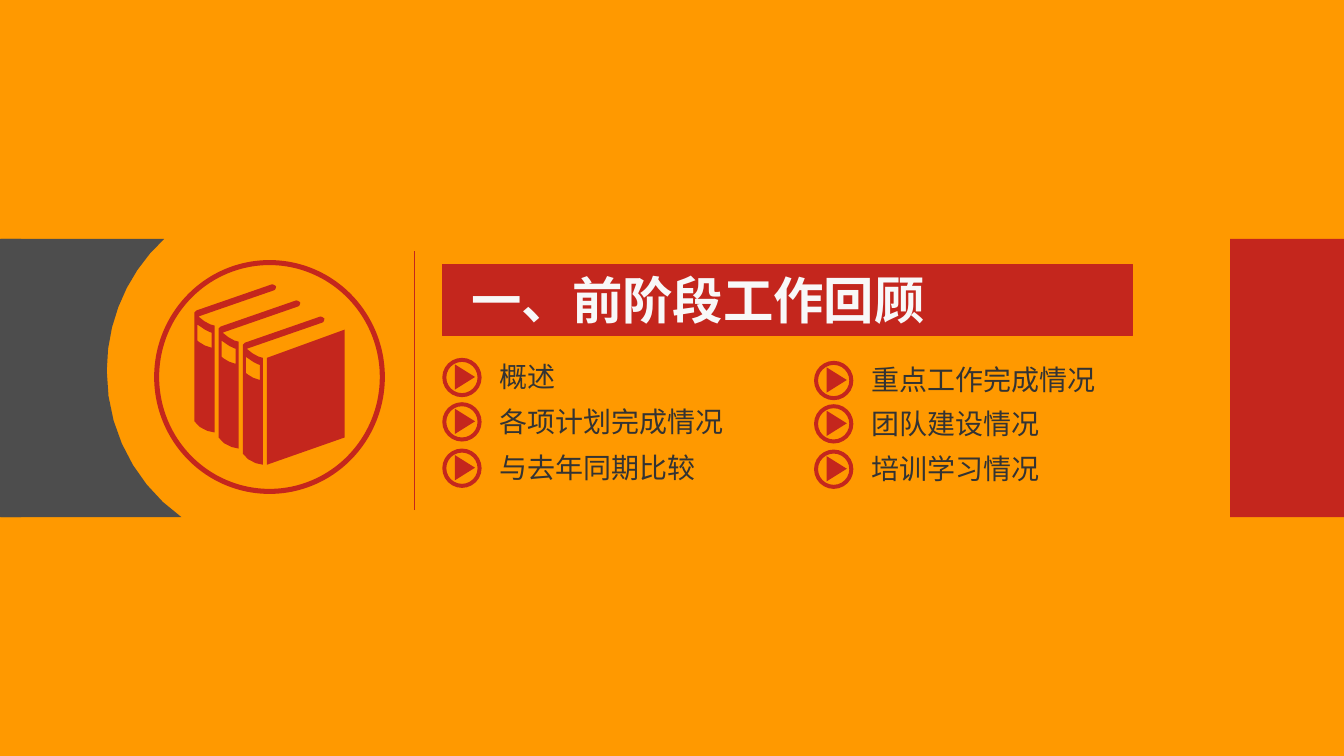
from lxml import etree
from pptx import Presentation
from pptx import util as u
from pptx.dml.color import RGBColor
from pptx.enum import shapes as s, text as t
from pptx.oxml import ns

ORANGE, RED, GRAY = "FF9900", "C4261D", "4D4D4D"
WHITE, INK = "F8F8F8", "333333"

TITLE = "一、前阶段工作回顾"
# left edge of each column, then the top and wording of each topic
TOPIC_COLUMNS = [
    (4.39, [(3.55, "概述"), (3.99, "各项计划完成情况"), (4.45, "与去年同期比较")]),
    (8.08, [(3.58, "重点工作完成情况"), (4.01, "团队建设情况"), (4.46, "培训学习情况")]),
]
BAND_TOP, BAND_HEIGHT = 2.37, 2.76

# Outlines: a pair is a corner, six numbers are a Bézier curve.
BAND_END = [(0.01, 2.37), (1.63, 2.37), (1.28, 2.69, 1.06, 3.16, 1.06, 3.68),
            (1.06, 4.28, 1.35, 4.81, 1.8, 5.13), (0.01, 5.13)]
SPINE = [(2.74, 2.84), (2.73, 2.83, 2.71, 2.82, 2.7, 2.82), (1.95, 3.08),
         (1.93, 3.1), (1.93, 4.18),
         (1.96, 4.24, 2.07, 4.29, 2.13, 4.29), (2.13, 3.23),
         (2.1, 3.23, 2.02, 3.19, 1.97, 3.14), (2.72, 2.88),
         (2.73, 2.88, 2.74, 2.86, 2.74, 2.84)]
SPINE_LABEL = [(2.1, 3.3), (2.1, 3.45), (2.03, 3.44, 1.96, 3.38, 1.96, 3.38),
               (1.96, 3.22), (2.05, 3.29, 2.1, 3.3, 2.1, 3.3)]
FRONT_COVER = [(2.65, 3.55), (2.65, 4.61), (3.42, 4.34), (3.42, 3.27)]
BOOK_COUNT, BOOK_STEP_X, BOOK_STEP_Y = 3, 0.24, 0.16
BAND_CURVE_STEPS, BOOK_CURVE_STEPS = 7, 3

prs = Presentation()
prs.slide_width, prs.slide_height = u.Inches(13.34), u.Inches(7.5)
slide = prs.slides.add_slide(prs.slide_layouts[6])


def color(hex_value):
    return RGBColor.from_string(hex_value)


def paint(shape, fill):
    shape.shadow.inherit = False
    shape.fill.solid()
    shape.fill.fore_color.rgb = color(fill)
    shape.line.fill.background()
    return shape


def add_preset(kind, left, top, width, height, fill):
    box = [u.Inches(v) for v in (left, top, width, height)]
    return paint(slide.shapes.add_shape(kind, *box), fill)


def add_ring(left, top, width, height, thickness):
    ring = add_preset(s.MSO_SHAPE.DONUT, left, top, width, height, RED)
    ring.adjustments[0] = thickness / min(width, height)


def flatten(outline, curve_steps, dx=0, dy=0):
    """Turn corners and curves into shifted points in EMU."""
    points = []
    for step in outline:
        if len(step) == 2:
            points.append(step)
            continue
        x0, y0 = points[-1]
        x1, y1, x2, y2, x3, y3 = step
        for i in range(1, curve_steps + 1):
            k = i / curve_steps
            a, b, c, d = (1 - k) ** 3, 3 * k * (1 - k) ** 2, 3 * k * k * (1 - k), k ** 3
            points.append((a * x0 + b * x1 + c * x2 + d * x3,
                           a * y0 + b * y1 + c * y2 + d * y3))
    return [(u.Inches(x + dx), u.Inches(y + dy)) for x, y in points]


def add_outline(contours, fill):
    first, *others = contours
    builder = slide.shapes.build_freeform(*first[0])
    builder.add_line_segments(first[1:])
    for contour in others:
        builder.move_to(*contour[0])
        builder.add_line_segments(contour[1:])
    paint(builder.convert_to_shape(), fill)


def add_label(wording, left, top, width, height, font, size, ink, bold=False, wrap=True):
    box = slide.shapes.add_textbox(*[u.Inches(v) for v in (left, top, width, height)])
    frame = box.text_frame
    frame.text = wording
    frame.word_wrap = wrap
    frame.auto_size = t.MSO_AUTO_SIZE.SHAPE_TO_FIT_TEXT
    run = frame.paragraphs[0].runs[0]
    run.font.name, run.font.size, run.font.bold = font, u.Pt(size), bold
    run.font.color.rgb = color(ink)
    east_asian = etree.SubElement(run.font._element, ns.qn("a:ea"))
    east_asian.set("typeface", font)


def add_topic(left, top, wording):
    add_ring(left, top, 0.39, 0.39, 0.04)
    arrow = add_preset(s.MSO_SHAPE.ISOSCELES_TRIANGLE, left + 0.1, top + 0.09, 0.25, 0.2, RED)
    arrow.rotation = 90
    add_label(wording, left + 0.47, top - 0.03, 0.2 + 0.28 * len(wording), 0.44,
              "Arial", 20, INK, wrap=False)


slide.background.fill.solid()
slide.background.fill.fore_color.rgb = color(ORANGE)

# Left band, title bar and divider
add_preset(s.MSO_SHAPE.RECTANGLE, 0, BAND_TOP, 0.21, BAND_HEIGHT, GRAY)
title_bar = add_preset(s.MSO_SHAPE.RECTANGLE, 4.39, 2.62, 6.85, 0.71, RED)
title_bar.line.color.rgb = color(RED)
title_bar.line.width = u.Pt(0.75)
add_label(TITLE, 4.58, 2.62, 5.4, 0.71, "Noto Sans CJK SC", 36, WHITE, bold=True)
divider = slide.shapes.add_connector(
    s.MSO_CONNECTOR.STRAIGHT, *[u.Inches(v) for v in (4.11, 5.06, 4.11, 2.49)])
divider.line.color.rgb = color(RED)
divider.line.width = u.Pt(0.75)
etree.SubElement(divider._element.spPr, ns.qn("a:effectLst"))

# Books in a ring
add_ring(1.53, 2.58, 2.29, 2.32, 0.05)
books = [flatten(FRONT_COVER, BOOK_CURVE_STEPS)]
for book in range(BOOK_COUNT):
    for outline in (SPINE, SPINE_LABEL):
        books.append(flatten(outline, BOOK_CURVE_STEPS,
                             book * BOOK_STEP_X, book * BOOK_STEP_Y))
add_outline(books, RED)

for column_left, topics in TOPIC_COLUMNS:
    for topic_top, topic in topics:
        add_topic(column_left, topic_top, topic)

# Band ends
add_outline([flatten(BAND_END, BAND_CURVE_STEPS)], GRAY)
add_preset(s.MSO_SHAPE.RECTANGLE, 12.21, BAND_TOP, 1.13, BAND_HEIGHT, RED)

prs.save("out.pptx")
